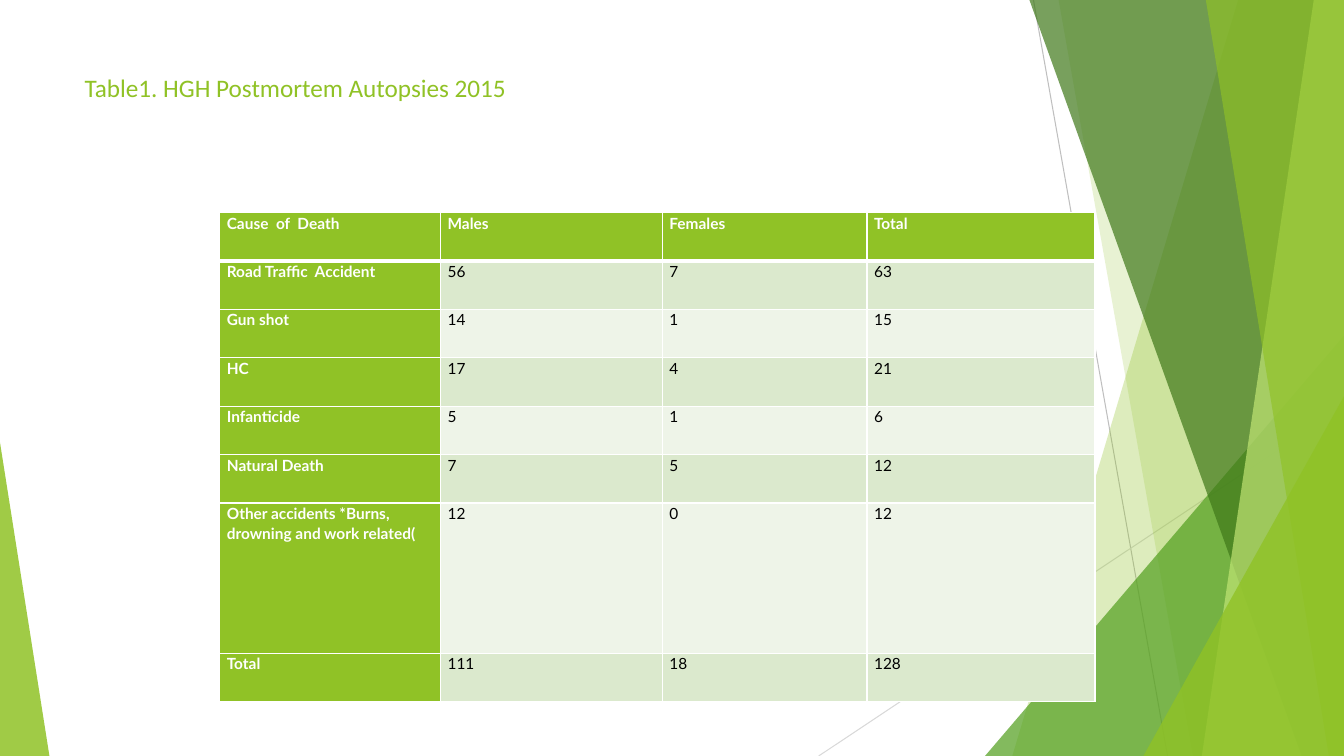
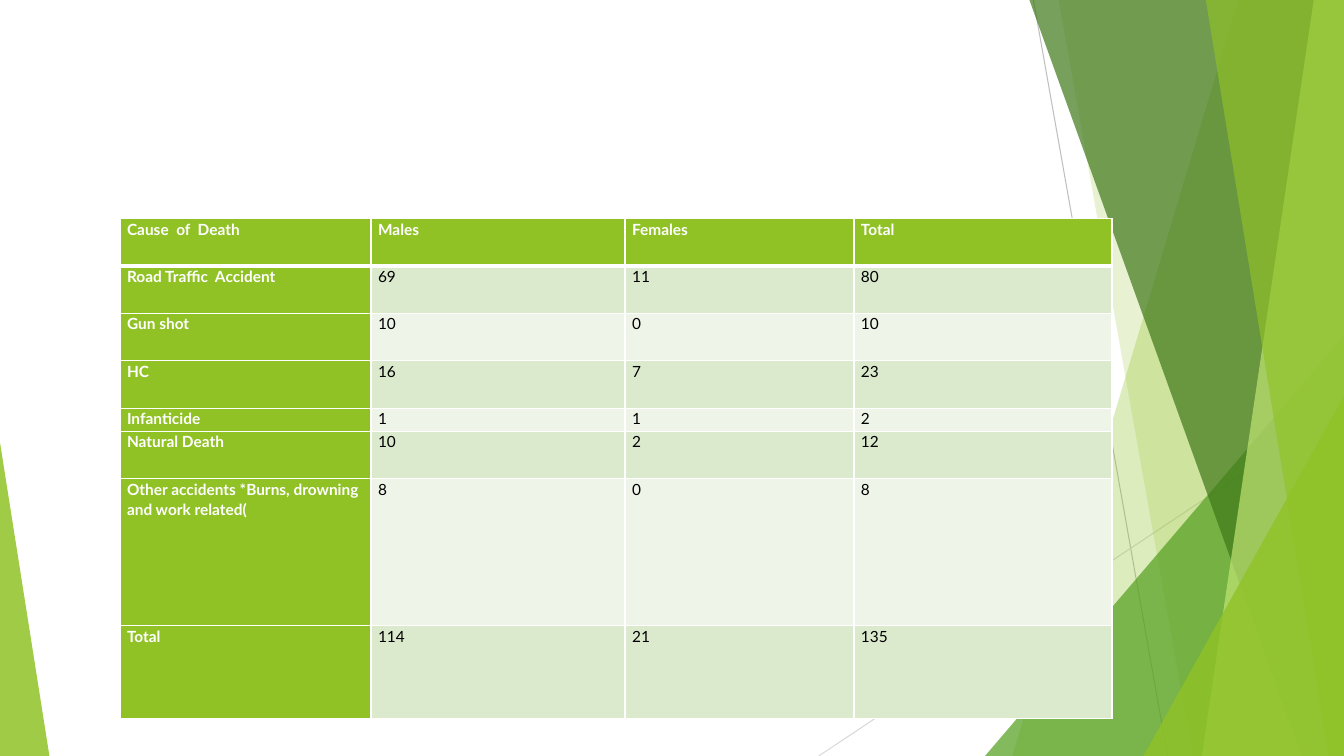
from dataclasses import dataclass

from lxml.etree import SubElement
from pptx import Presentation
from pptx.dml.color import RGBColor
from pptx.enum.shapes import MSO_CONNECTOR, MSO_SHAPE
from pptx.enum.text import MSO_ANCHOR, PP_ALIGN
from pptx.oxml import parse_xml
from pptx.oxml.ns import nsdecls, qn
from pptx.util import Inches, Pt

# Content
HEADERS = ["Cause  of  Death", "Males", "Females", "Total"]
CAUSES = [
    "Road Traffic  Accident", "Gun shot", "HC", "Infanticide", "Natural Death",
    "Other accidents *Burns, drowning and work related(", "Total",
]
SLIDES = [
    {
        "title": "Table1. HGH Postmortem Autopsies 2015",
        "position": (2.18, 2.11),
        "columns": [2.19, 2.2, 2.03, 2.26],
        "rows": [0.48] * 6 + [1.49, 0.48],
        "counts": [(56, 7, 63), (14, 1, 15), (17, 4, 21), (5, 1, 6),
                   (7, 5, 12), (12, 0, 12), (111, 18, 128)],
    },
    {
        "title": None,
        "position": (1.19, 2.17),
        "columns": [2.49, 2.52, 2.27, 2.56],
        "rows": [0.47] * 4 + [0.23, 0.47, 1.46, 0.92],
        "counts": [(69, 11, 80), (10, 0, 10), (16, 7, 23), (1, 1, 2),
                   (10, 2, 12), (8, 0, 8), (114, 21, 135)],
    },
]


# Theme
@dataclass(frozen=True)
class Theme:
    lime: str = "90C226"
    green: str = "54A021"
    forest: str = "3F7819"
    pale_lime: str = "C0E474"
    bands: tuple = ("DBE9CD", "EEF4E8")
    line_dark: str = "BFBFBF"
    line_light: str = "D9D9D9"
    white: str = "FFFFFF"
    black: str = "000000"
    title_font: str = "Calibri"
    table_font: str = "Lato"
    title_size: int = 18
    table_size: int = 11


THEME = Theme()
WIDTH, HEIGHT = 13.33, 7.5

# Background: thin lines as (start, end, colour)
THIN_LINES = [
    ((10.25, 0), (11.58, HEIGHT), THEME.line_dark),
    ((WIDTH, 4.03), (8.12, HEIGHT), THEME.line_light),
]
# Facets, back to front. A band has its left edge at the top and bottom of the
# slide; a triangle has left, top, width and the place of its apex.
FACETS = [
    ("band", (12.28, 10.04), THEME.lime, 30),
    ("band", (10.5, 11.83), THEME.lime, 20),
    ("triangle", (9.77, 3.33, 3.56, 1), THEME.green, 72),
    ("band", (10.21, 12.91), THEME.forest, 70),
    ("band", (13.03, 11.92), THEME.pale_lime, 70),
    ("band", (11.96, 13.18), THEME.lime, 65),
    ("triangle", (11.34, 3.93, 1.99, 1), THEME.lime, 80),
    ("triangle", (0, 4.39, 0.49, 0), THEME.lime, 85),
]


def rgb(colour):
    return RGBColor.from_string(colour)


def style_text(paragraph, font, size, colour, bold=False):
    paragraph.alignment = PP_ALIGN.LEFT
    for run in paragraph.runs:
        run.font.name = font
        run.font.size = Pt(size)
        run.font.bold = bold
        run.font.color.rgb = rgb(colour)


# Background parts
def add_thin_line(slide, start, end, colour):
    points = [Inches(value) for value in (*start, *end)]
    connector = slide.shapes.add_connector(MSO_CONNECTOR.STRAIGHT, *points)
    connector.line.color.rgb = rgb(colour)
    connector.line.width = Pt(0.75)
    SubElement(connector._element.spPr, qn("a:effectLst"))


def add_band(slide, top_x, bottom_x):
    corners = [(top_x, 0), (WIDTH, 0), (WIDTH, HEIGHT), (bottom_x, HEIGHT)]
    points = [(Inches(x), Inches(y)) for x, y in corners]
    builder = slide.shapes.build_freeform(*points[0], scale=1.0)
    builder.add_line_segments(points[1:], close=True)
    return builder.convert_to_shape()


def add_triangle(slide, left, top, width, apex):
    shape = slide.shapes.add_shape(
        MSO_SHAPE.ISOSCELES_TRIANGLE,
        Inches(left), Inches(top), Inches(width), Inches(HEIGHT - top))
    shape.adjustments[0] = apex
    return shape


def add_background(slide):
    for line in THIN_LINES:
        add_thin_line(slide, *line)
    builders = {"band": add_band, "triangle": add_triangle}
    for kind, geometry, colour, opacity in FACETS:
        shape = builders[kind](slide, *geometry)
        shape.shadow.inherit = False
        shape.line.fill.background()
        shape.fill.solid()
        shape.fill.fore_color.rgb = rgb(colour)
        colour_element = shape._element.spPr.find(".//" + qn("a:srgbClr"))
        SubElement(colour_element, qn("a:alpha"), val=str(opacity * 1000))


# Title
def add_title(slide, text):
    box = slide.shapes.add_textbox(
        Inches(0.74), Inches(0.67), Inches(9.4), Inches(1.44))
    frame = box.text_frame
    frame.word_wrap = True
    frame.vertical_anchor = MSO_ANCHOR.TOP
    frame.text = text
    style_text(frame.paragraphs[0], THEME.title_font, THEME.title_size, THEME.lime)


# Table
def set_borders(cell, top, bottom):
    properties = cell._tc.get_or_add_tcPr()
    widths = {"lnL": 1, "lnR": 1, "lnT": top, "lnB": bottom}
    for index, (side, width) in enumerate(widths.items()):
        properties.insert(index, parse_xml(
            f'<a:{side} {nsdecls("a")} w="{Pt(width)}"><a:solidFill>'
            f'<a:srgbClr val="{THEME.white}"/></a:solidFill></a:{side}>'))


def fill_cell(cell, text, row, column):
    is_heading = row == 0 or column == 0
    cell.margin_left = cell.margin_right = Inches(0.07)
    cell.margin_top = cell.margin_bottom = 0
    cell.text_frame.text = text
    paragraph = cell.text_frame.paragraphs[0]
    paragraph.line_spacing = 1.07
    paragraph.space_after = Pt(8)
    style_text(paragraph, THEME.table_font, THEME.table_size,
               THEME.white if is_heading else THEME.black, is_heading)
    cell.fill.solid()
    cell.fill.fore_color.rgb = rgb(
        THEME.lime if is_heading else THEME.bands[(row - 1) % 2])
    set_borders(cell, top=3 if row == 1 else 1, bottom=3 if row == 0 else 1)


def add_death_table(slide, position, columns, rows, counts):
    sizes = (*position, sum(columns), sum(rows))
    table = slide.shapes.add_table(
        len(rows), len(columns), *(Inches(size) for size in sizes)).table
    table.first_row = table.horz_banding = False
    for column, width in zip(table.columns, columns):
        column.width = Inches(width)
    for row, height in zip(table.rows, rows):
        row.height = Inches(height)
    records = [HEADERS] + [(cause, *numbers) for cause, numbers in zip(CAUSES, counts)]
    for row, record in enumerate(records):
        for column, value in enumerate(record):
            fill_cell(table.cell(row, column), str(value), row, column)


def main():
    presentation = Presentation()
    presentation.slide_width = Inches(WIDTH)
    presentation.slide_height = Inches(HEIGHT)
    for content in SLIDES:
        slide = presentation.slides.add_slide(presentation.slide_layouts[6])
        add_background(slide)
        if content["title"]:
            add_title(slide, content["title"])
        add_death_table(slide, content["position"], content["columns"],
                        content["rows"], content["counts"])
    presentation.save("out.pptx")


if __name__ == "__main__":
    main()
